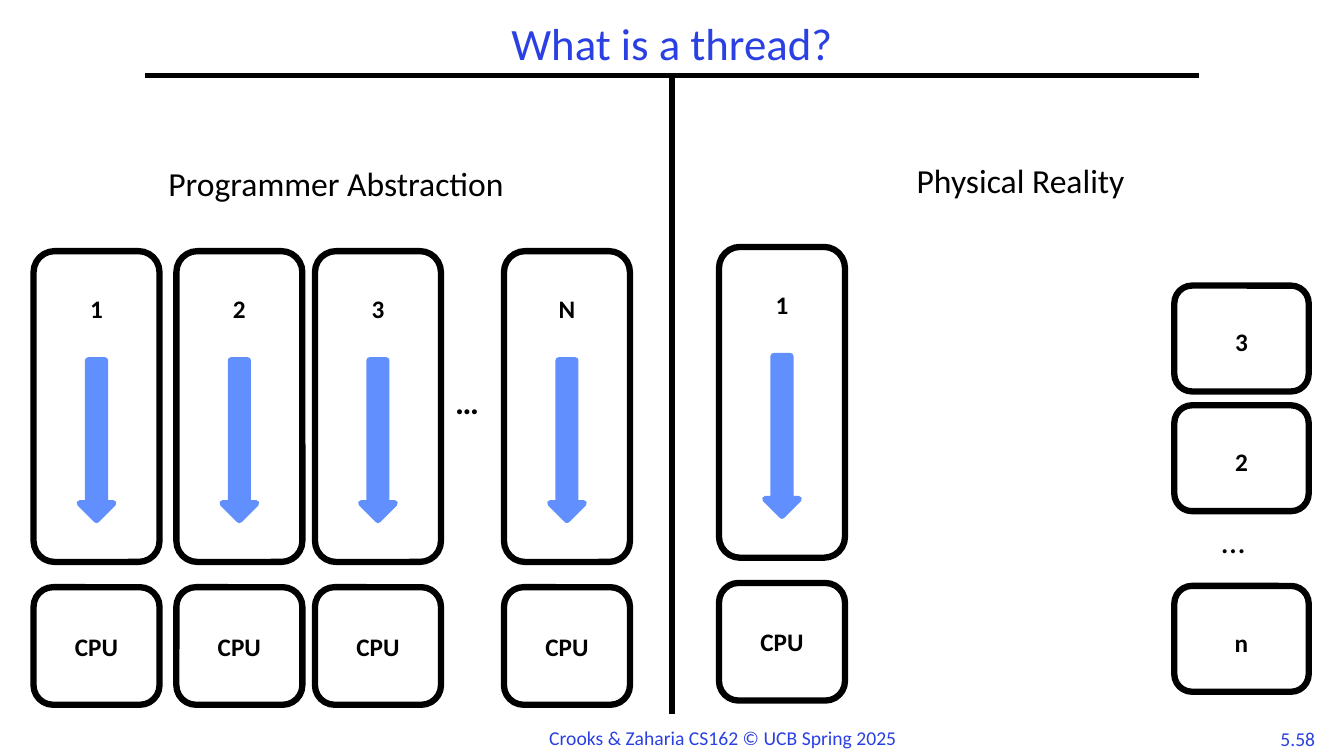
from dataclasses import dataclass

from lxml.etree import SubElement
from pptx import Presentation
from pptx.dml.color import RGBColor
from pptx.enum.shapes import MSO_CONNECTOR, MSO_SHAPE
from pptx.enum.text import MSO_ANCHOR, PP_ALIGN
from pptx.oxml.ns import qn
from pptx.util import Inches, Pt


@dataclass(frozen=True)
class Theme:
    font: str = "Calibri"
    ink: str = "000000"
    paper: str = "FFFFFF"
    accent: str = "2A40E2"
    arrow: str = "618FFD"
    title: int = 32
    heading: int = 24
    label: int = 18
    footer: int = 14
    rule: float = 3
    outline: float = 4.5


class Board:
    """Places elements on a grid of 160 columns by 90 rows."""

    COLUMNS, ROWS = 160, 90

    def __init__(self, deck, theme):
        self.theme = theme
        self.slide = deck.slides.add_slide(deck.slide_layouts[6])
        self.column = deck.slide_width / self.COLUMNS
        self.row = deck.slide_height / self.ROWS

    def place(self, x, y, w, h):
        return (round(x * self.column), round(y * self.row),
                round(w * self.column), round(h * self.row))

    def set_words(self, frame, words, size, color, bold=False,
                  align=PP_ALIGN.CENTER, spacing=None):
        line = frame.paragraphs[0]
        line.text = words
        line.alignment = align
        if spacing:
            line.line_spacing = spacing
        line.font.name = self.theme.font
        line.font.size = Pt(size)
        line.font.bold = bold
        line.font.color.rgb = RGBColor.from_string(color)

    def text(self, words, area, size, color, anchor=MSO_ANCHOR.TOP, wrap=True, **style):
        box = self.slide.shapes.add_textbox(*self.place(*area))
        box.text_frame.word_wrap = wrap
        box.text_frame.vertical_anchor = anchor
        self.set_words(box.text_frame, words, size, color, **style)
        return box

    def solid(self, preset, area, fill, outline):
        shape = self.slide.shapes.add_shape(preset, *self.place(*area))
        shape.shadow.inherit = False
        shape.fill.solid()
        shape.fill.fore_color.rgb = RGBColor.from_string(fill)
        shape.line.color.rgb = RGBColor.from_string(outline)
        shape.line.width = Pt(self.theme.outline)
        return shape

    def card(self, words, area, drop=None):
        """A rounded box; its label is centred, or drops some rows from the top."""
        card = self.solid(MSO_SHAPE.ROUNDED_RECTANGLE, area, self.theme.paper, self.theme.ink)
        frame = card.text_frame
        frame.vertical_anchor = MSO_ANCHOR.MIDDLE if drop is None else MSO_ANCHOR.TOP
        if drop is not None:
            frame.margin_top = round(drop * self.row)
        self.set_words(frame, words, self.theme.label, self.theme.ink, bold=True)

    def line(self, x1, y1, x2, y2, width):
        start, end = self.place(x1, y1, 0, 0)[:2], self.place(x2, y2, 0, 0)[:2]
        line = self.slide.shapes.add_connector(MSO_CONNECTOR.STRAIGHT, *start, *end)
        line.line.color.rgb = RGBColor.from_string(self.theme.ink)
        line.line.width = Pt(width)
        SubElement(line._element.spPr, qn("a:effectLst"))
        return line

    def thread(self, name, x, y):
        """A running thread with its arrow, above the CPU that runs it."""
        width, arrow_width = 15, 4
        self.card(name, (x, y, width, 37), drop=LABEL_DROP)
        self.card("CPU", (x, y + 40, width, 14))
        self.solid(MSO_SHAPE.DOWN_ARROW,
                   (x + (width - arrow_width) / 2, y + 13, arrow_width, 19),
                   self.theme.arrow, self.theme.arrow)


LABEL_DROP = 4.26
MIDDLE = Board.COLUMNS / 2
TITLE_WIDTH, TITLE_BOTTOM = 125.4, 9


def main():
    deck = Presentation()
    deck.slide_width, deck.slide_height = Inches(13.33), Inches(7.5)
    theme = Theme()
    board = Board(deck, theme)

    # Footer
    board.text("5.58", (151, 85.9, 7, 4), theme.footer, theme.accent, wrap=False)
    board.text("Crooks & Zaharia CS162 © UCB Spring 2025", (64.2, 85.8, 44, 4.1),
               theme.footer, theme.accent, wrap=False, align=PP_ALIGN.LEFT)

    # Title, its rule and the divider between the halves
    left = MIDDLE - TITLE_WIDTH / 2
    title = board.text("What is a thread?", (left, 2, TITLE_WIDTH, TITLE_BOTTOM - 2),
                       theme.title, theme.accent, anchor=MSO_ANCHOR.MIDDLE, spacing=0.9)
    board.line(left, TITLE_BOTTOM, left + TITLE_WIDTH, TITLE_BOTTOM, theme.rule)
    divider = board.line(MIDDLE, TITLE_BOTTOM, MIDDLE, 85, theme.outline)
    divider.begin_connect(title, 2)

    # Headings
    for heading, x, y in (("Programmer Abstraction", 8, 19.4), ("Physical Reality", 89.5, 19)):
        board.text(heading, (x, y, 64, 7), theme.heading, theme.ink, spacing=0.9)

    # Programmer abstraction: every thread has its own CPU
    for name, x in (("1", 4), ("2", 21), ("3", 37.5), ("N", 60)):
        board.thread(name, x, 29.9)

    # Physical reality: one thread runs while the others wait
    board.thread("1", 85.6, 29.4)
    for name, y in (("3", 34), ("2", 48.25), ("n", 69.75)):
        board.card(name, (139.8, y, 16, 12.6), drop=LABEL_DROP)

    # Threads left out of each half
    for x, y, bold in ((49.8, 44.8, True), (141, 61.3, False)):
        board.text("… ", (x, y, 12.5, 6), theme.heading, theme.ink, bold=bold)

    deck.save("out.pptx")


if __name__ == "__main__":
    main()
